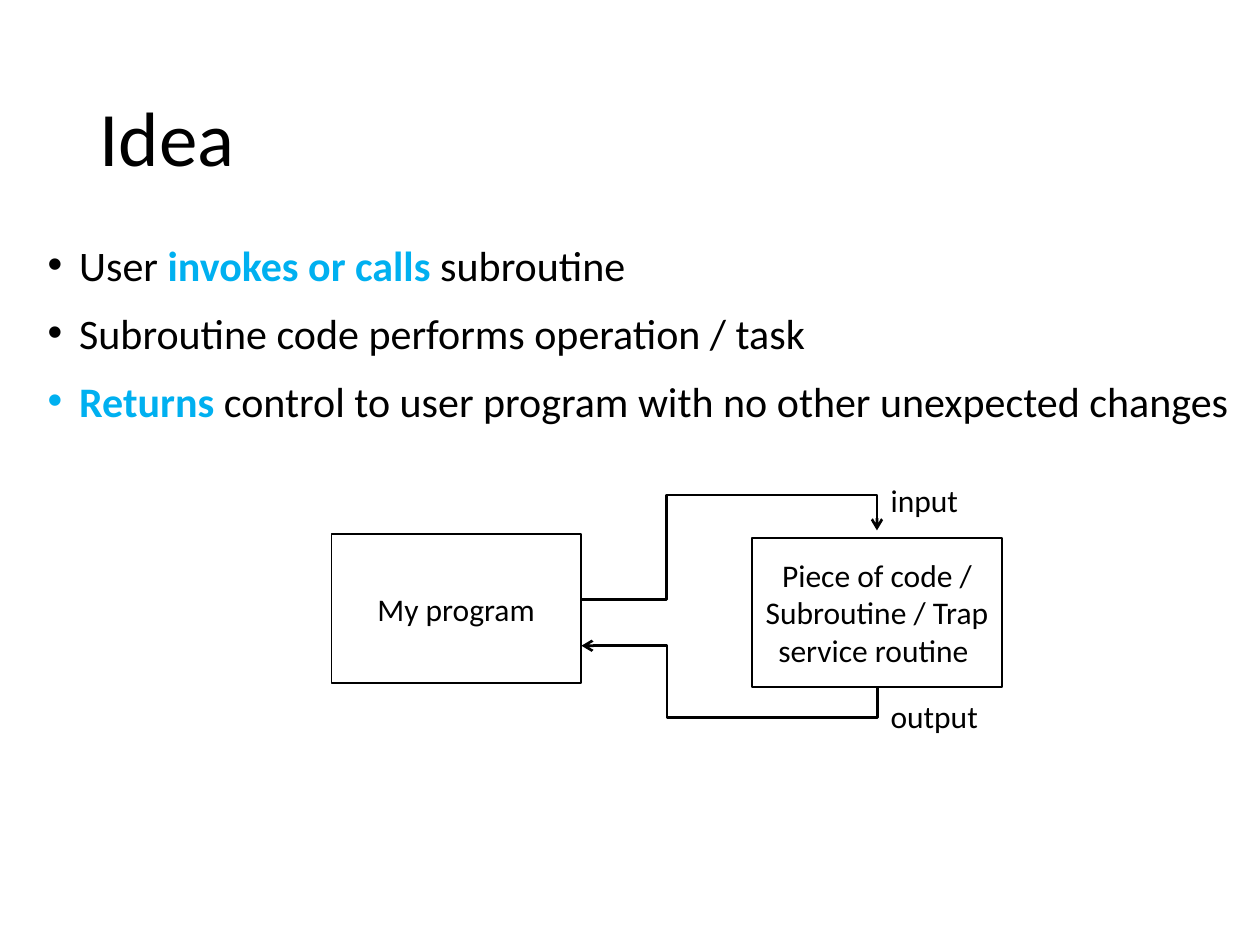
import dataclasses

import lxml.etree
import pptx
import pptx.dml.color
import pptx.enum.shapes
import pptx.enum.text
import pptx.oxml.ns
import pptx.util

COLUMNS, ROWS = 100, 75
CELL = pptx.util.Inches(0.1)
FONT = "Calibri"
BLACK, WHITE, ACCENT = "000000", "FFFFFF", "00B0F0"
ANCHOR = pptx.enum.text.MSO_ANCHOR
ALIGN = pptx.enum.text.PP_ALIGN


@dataclasses.dataclass(frozen=True)
class Area:
    """A rectangle in grid columns and rows."""
    column: float
    row: float
    columns: float
    rows: float

    def lengths(self) -> tuple[int, ...]:
        return tuple(round(value * CELL) for value in dataclasses.astuple(self))


@dataclasses.dataclass(frozen=True)
class Block:
    text: str
    area: Area


@dataclasses.dataclass(frozen=True)
class BentArrow:
    """An elbow arrow; bends are shares of its width and height."""
    area: Area
    bends: tuple[float, float]
    flip: str
    degrees: int = 0


TITLE = Block("Idea", Area(6.9, 4, 86.2, 14.5))
BULLET_AREA = Area(2.8, 18.5, 95.9, 47.6)
# Each bullet is a list of (text, emphasised) pieces.
BULLETS = [
    [("User ", False), ("invokes or calls", True), (" subroutine", False)],
    [("Subroutine code performs operation / task", False)],
    [("Returns", True),
     (" control to user program with no other unexpected changes", False)],
]
BOXES = [
    Block("Piece of code / Subroutine / Trap service routine ",
          Area(59.7, 42.7, 19.8, 11.8)),
    Block("My program", Area(26.3, 42.4, 19.8, 11.8)),
]
ARROWS = [
    BentArrow(Area(46.1, 42.1, 23.5, 5.5), (0.289, 1.512), "flipV"),
    BentArrow(Area(56.3, 41.1, 3.2, 23.5), (-0.777, 0.711), "flipH", 90),
]
LABELS = [
    Block("input", Area(69.7, 37.7, 8, 4)),
    Block("output", Area(69.7, 54.8, 9.6, 4)),
]


def color(value: str) -> pptx.dml.color.RGBColor:
    return pptx.dml.color.RGBColor.from_string(value)


def format_run(run, size: float, value: str = BLACK, bold: bool = False) -> None:
    run.font.name = FONT
    run.font.size = pptx.util.Pt(size)
    run.font.color.rgb = color(value)
    run.font.bold = bold


def add_child(parent, tag: str, **attributes: str):
    return lxml.etree.SubElement(parent, pptx.oxml.ns.qn(tag), attributes)


def fill_title(slide) -> None:
    title = slide.shapes.title
    title.left, title.top, title.width, title.height = TITLE.area.lengths()
    title.text_frame.text = TITLE.text
    title.text_frame.vertical_anchor = ANCHOR.MIDDLE
    paragraph = title.text_frame.paragraphs[0]
    paragraph.alignment = ALIGN.LEFT
    paragraph.line_spacing = 0.9
    format_run(paragraph.runs[0], 44)


def add_bullets(slide) -> None:
    text_frame = slide.shapes.add_textbox(*BULLET_AREA.lengths()).text_frame
    text_frame.word_wrap = True
    indent = pptx.util.Inches(0.25)
    for index, pieces in enumerate(BULLETS):
        paragraph = text_frame.add_paragraph() if index else text_frame.paragraphs[0]
        paragraph.space_before = pptx.util.Pt(10)
        properties = paragraph._p.get_or_add_pPr()
        properties.set("marL", str(indent))
        properties.set("indent", str(-indent))
        add_child(properties, "a:buFont", typeface="Arial")
        add_child(properties, "a:buChar", char="•")
        for text, emphasised in pieces:
            run = paragraph.add_run()
            run.text = text
            format_run(run, 24, ACCENT if emphasised else BLACK, emphasised)


def add_box(slide, box: Block) -> None:
    shape = slide.shapes.add_shape(
        pptx.enum.shapes.MSO_SHAPE.RECTANGLE, *box.area.lengths())
    shape.shadow.inherit = False
    shape.fill.solid()
    shape.fill.fore_color.rgb = color(WHITE)
    shape.line.color.rgb = color(BLACK)
    shape.line.width = pptx.util.Pt(1)
    shape.text_frame.text = box.text
    shape.text_frame.word_wrap = True
    shape.text_frame.vertical_anchor = ANCHOR.MIDDLE
    paragraph = shape.text_frame.paragraphs[0]
    paragraph.alignment = ALIGN.CENTER
    format_run(paragraph.runs[0], 18)


def add_arrow(slide, arrow: BentArrow) -> None:
    left, top, width, height = arrow.area.lengths()
    connector = slide.shapes.add_connector(
        pptx.enum.shapes.MSO_CONNECTOR.ELBOW, left, top, left + width, top + height)
    connector.line.color.rgb = color(BLACK)
    connector.line.width = pptx.util.Pt(1.5)
    properties = connector._element.spPr
    transform = properties.find(pptx.oxml.ns.qn("a:xfrm"))
    transform.set(arrow.flip, "1")
    transform.set("rot", str(arrow.degrees * 60000))
    geometry = properties.find(pptx.oxml.ns.qn("a:prstGeom"))
    geometry.set("prst", "bentConnector4")
    for child in list(geometry):
        geometry.remove(child)
    adjustments = add_child(geometry, "a:avLst")
    for number, bend in enumerate(arrow.bends, start=1):
        add_child(adjustments, "a:gd", name=f"adj{number}",
                  fmla=f"val {round(bend * 100000)}")
    add_child(connector.line._get_or_add_ln(), "a:tailEnd", type="arrow")
    add_child(properties, "a:effectLst")


def add_label(slide, label: Block) -> None:
    text_frame = slide.shapes.add_textbox(*label.area.lengths()).text_frame
    text_frame.word_wrap = False
    text_frame.auto_size = pptx.enum.text.MSO_AUTO_SIZE.SHAPE_TO_FIT_TEXT
    text_frame.text = label.text
    format_run(text_frame.paragraphs[0].runs[0], 18)


def main() -> None:
    presentation = pptx.Presentation()
    presentation.slide_width = COLUMNS * CELL
    presentation.slide_height = ROWS * CELL
    title_only = presentation.slide_layouts.get_by_name("Title Only")
    slide = presentation.slides.add_slide(title_only)
    fill_title(slide)
    add_bullets(slide)
    for box in BOXES:
        add_box(slide, box)
    for arrow in ARROWS:
        add_arrow(slide, arrow)
    for label in LABELS:
        add_label(slide, label)
    presentation.save("out.pptx")


if __name__ == "__main__":
    main()
